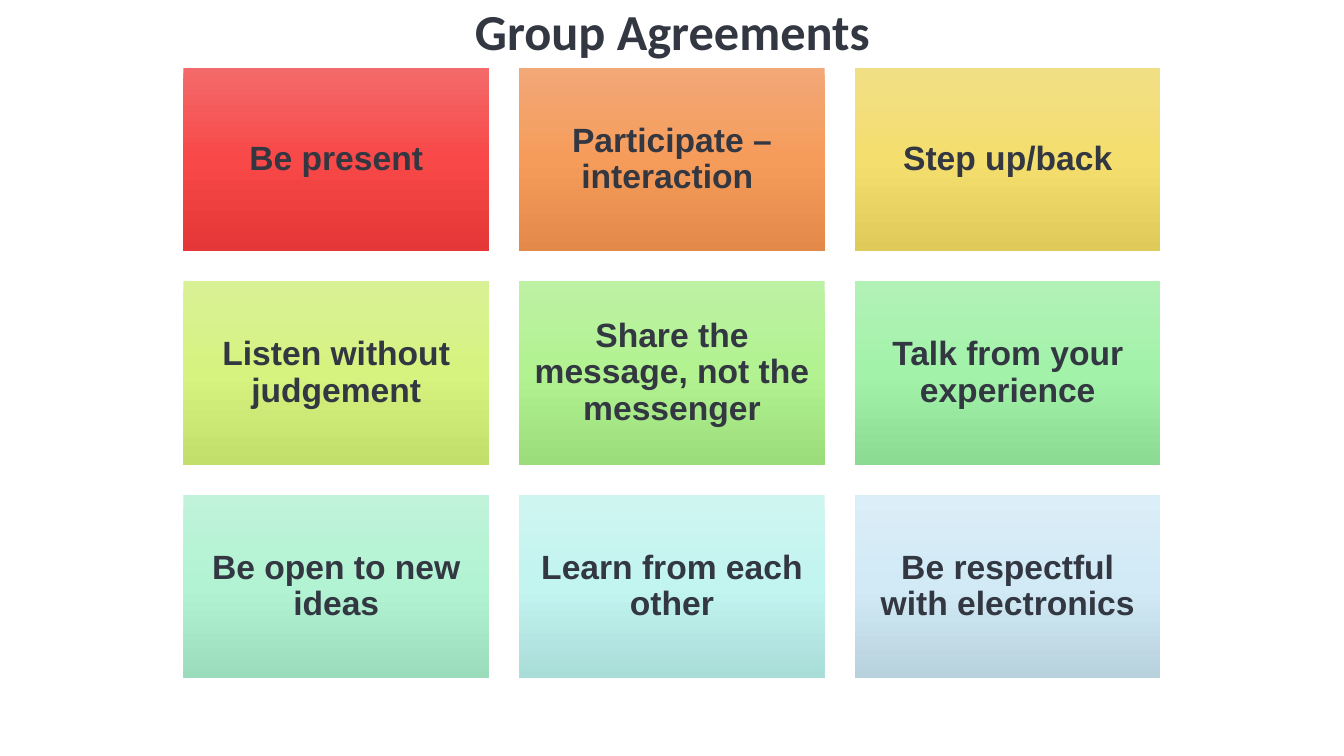
from copy import deepcopy
from dataclasses import dataclass

from pptx import Presentation
from pptx.dml.color import RGBColor
from pptx.enum.shapes import MSO_SHAPE
from pptx.enum.text import MSO_ANCHOR, PP_ALIGN
from pptx.oxml.ns import qn
from pptx.util import Inches, Pt

TEXT_COLOR = RGBColor(0x32, 0x37, 0x41)

# Grid of cards, in inches
COLUMNS = 3
GRID_LEFT, GRID_TOP = 1.82, 0.67
CARD_WIDTH, CARD_HEIGHT = 3.03, 1.82
GAP = 0.3


@dataclass(frozen=True)
class Agreement:
    text: str
    top: RGBColor
    middle: RGBColor
    bottom: RGBColor


def agreement(text: str, *colors: str) -> Agreement:
    return Agreement(text, *(RGBColor.from_string(color) for color in colors))


AGREEMENTS = [
    agreement("Be present", "F46A6A", "F84848", "E53737"),
    agreement("Participate – interaction ", "F2A877", "F69C5B", "E38949"),
    agreement("Step up/back", "F1DF86", "F4DE6E", "E0CA5A"),
    agreement("Listen without judgement", "D9F195", "D6F380", "C2DF6B"),
    agreement("Share the message, not the messenger", "BDF1A3", "B2F291", "9CDD7B"),
    agreement("Talk from your experience", "B2F2B7", "A2F2A9", "8BDC92"),
    agreement("Be open to new ideas", "C0F3DA", "B2F3D3", "9ADCBB"),
    agreement("Learn from each other", "CFF5F1", "C2F4F0", "A9DDD8"),
    agreement("Be respectful with electronics", "DCEEF7", "D1EAF6", "B7D1DD"),
]


def write_text(shape, text: str, font_name: str, size: int, vertical_margin: float) -> None:
    """Write one bold paragraph, centred both ways."""
    frame = shape.text_frame
    paragraph = frame.paragraphs[0]
    run = paragraph.add_run()
    run.text = text
    run.font.color.rgb = TEXT_COLOR
    formats = {
        frame: {
            "word_wrap": True,
            "vertical_anchor": MSO_ANCHOR.MIDDLE,
            "margin_left": Inches(0.1),
            "margin_right": Inches(0.1),
            "margin_top": Inches(vertical_margin),
            "margin_bottom": Inches(vertical_margin),
        },
        paragraph: {"alignment": PP_ALIGN.CENTER, "line_spacing": 0.9},
        run.font: {"name": font_name, "size": Pt(size), "bold": True},
    }
    for target, values in formats.items():
        for name, value in values.items():
            setattr(target, name, value)


def fill_gradient(shape, colors: list[RGBColor]) -> None:
    """Fill from top to bottom with three evenly spaced colours."""
    shape.fill.gradient()
    shape.fill.gradient_angle = 270
    stop_list = shape._element.spPr.find(qn("a:gradFill")).find(qn("a:gsLst"))
    stop_list.insert(1, deepcopy(stop_list[0]))
    for index, (stop, color) in enumerate(zip(shape.fill.gradient_stops, colors)):
        stop.position = index / 2
        stop.color.rgb = color


def add_card(slide, index: int, card: Agreement) -> None:
    row, column = divmod(index, COLUMNS)
    shape = slide.shapes.add_shape(
        MSO_SHAPE.RECTANGLE,
        Inches(GRID_LEFT + column * (CARD_WIDTH + GAP)),
        Inches(GRID_TOP + row * (CARD_HEIGHT + GAP)),
        Inches(CARD_WIDTH),
        Inches(CARD_HEIGHT),
    )
    shape.shadow.inherit = False
    shape.line.fill.background()
    fill_gradient(shape, [card.top, card.middle, card.bottom])
    write_text(shape, card.text, "Arial", 24, 0.1)


def main() -> None:
    presentation = Presentation()
    presentation.slide_width = Inches(13.33)
    presentation.slide_height = Inches(7.5)
    slide = presentation.slides.add_slide(presentation.slide_layouts[6])

    # Title
    title = slide.shapes.add_textbox(Inches(2.8), Inches(0), Inches(7.74), Inches(0.67))
    write_text(title, "Group Agreements", "Calibri", 36, 0.05)

    # Agreement cards
    for index, card in enumerate(AGREEMENTS):
        add_card(slide, index, card)

    presentation.save("out.pptx")


if __name__ == "__main__":
    main()
